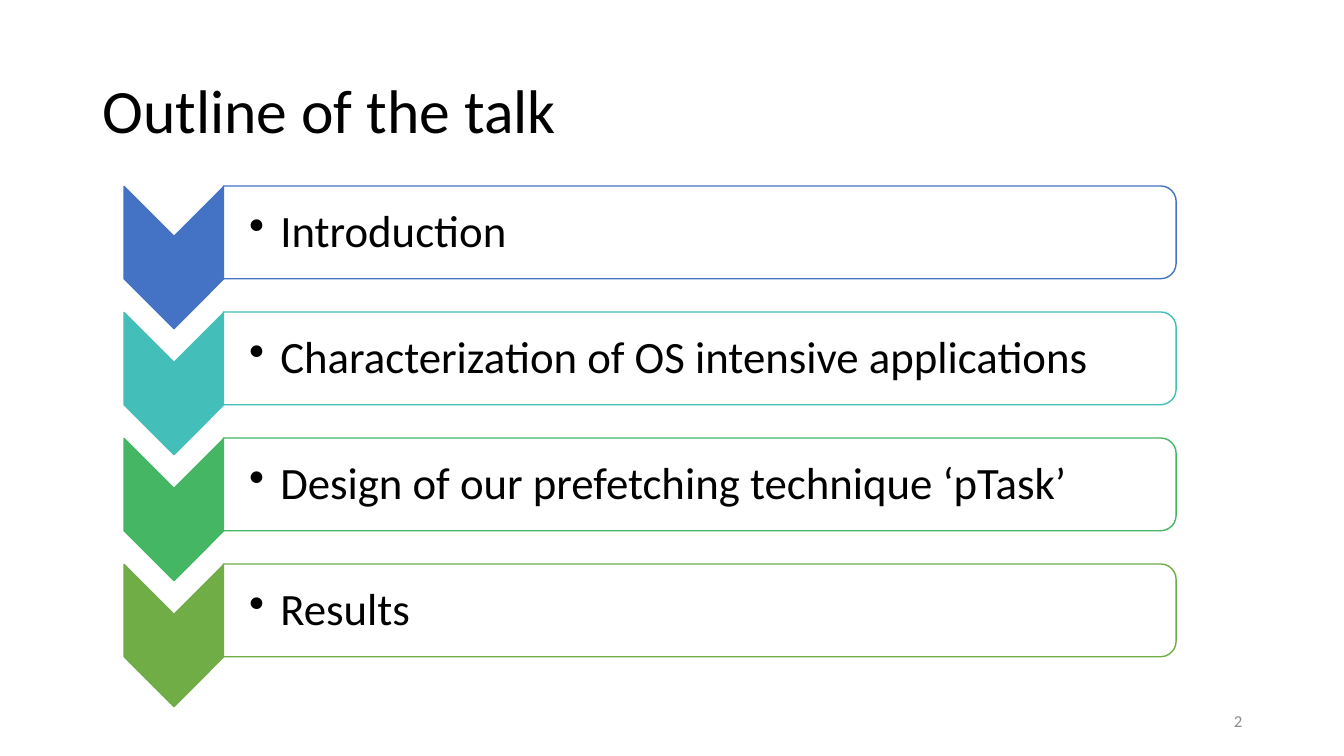
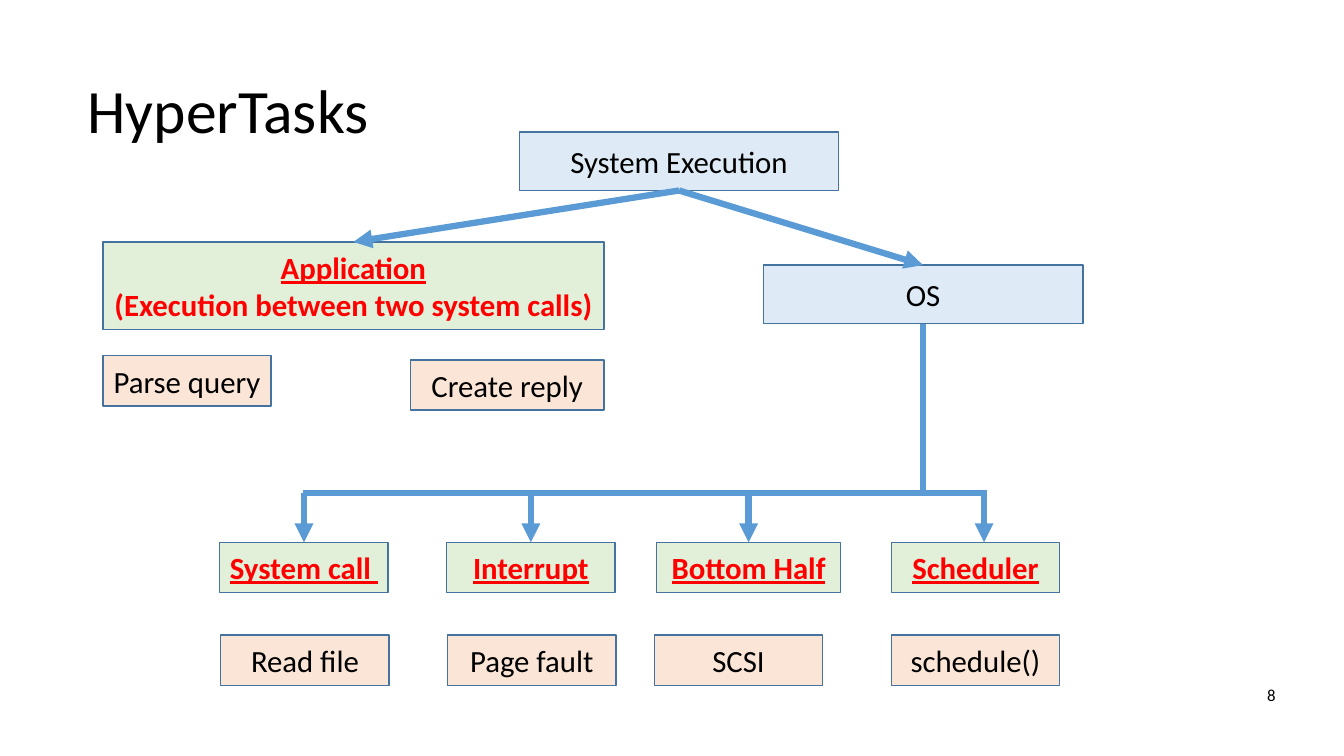
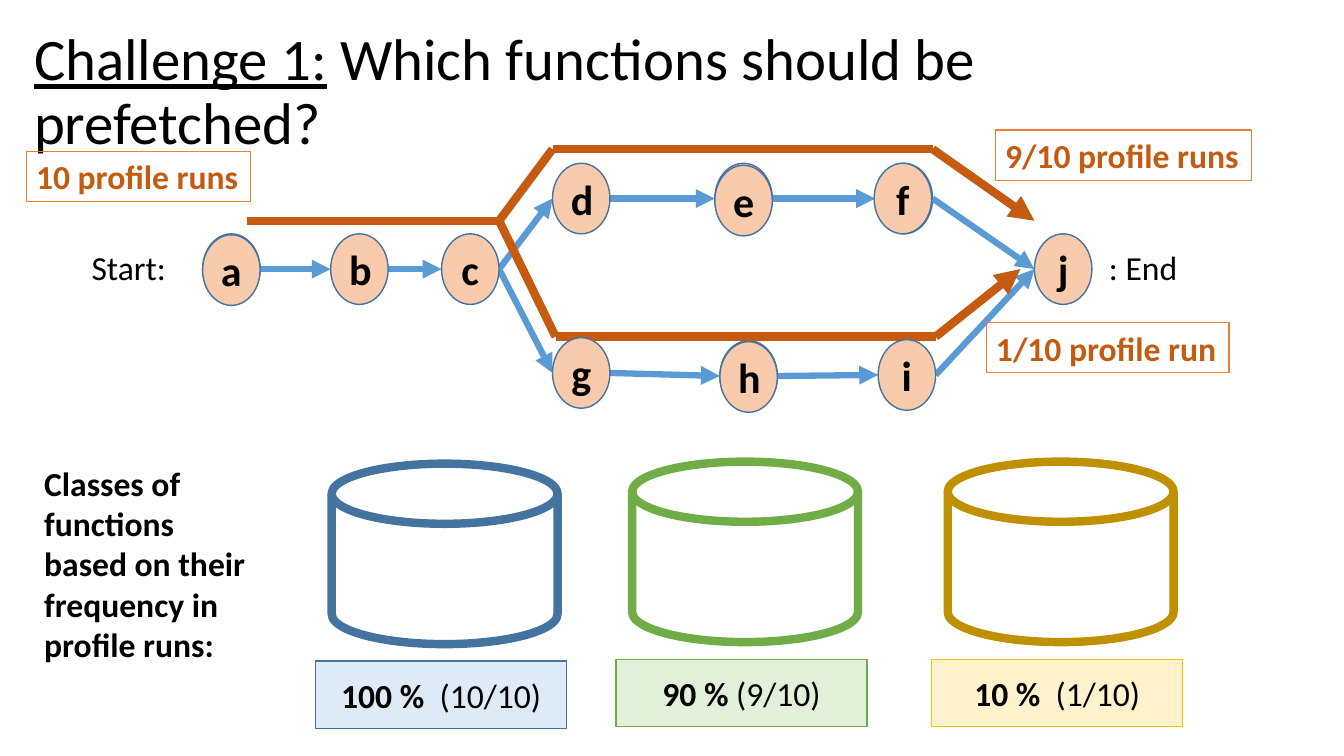
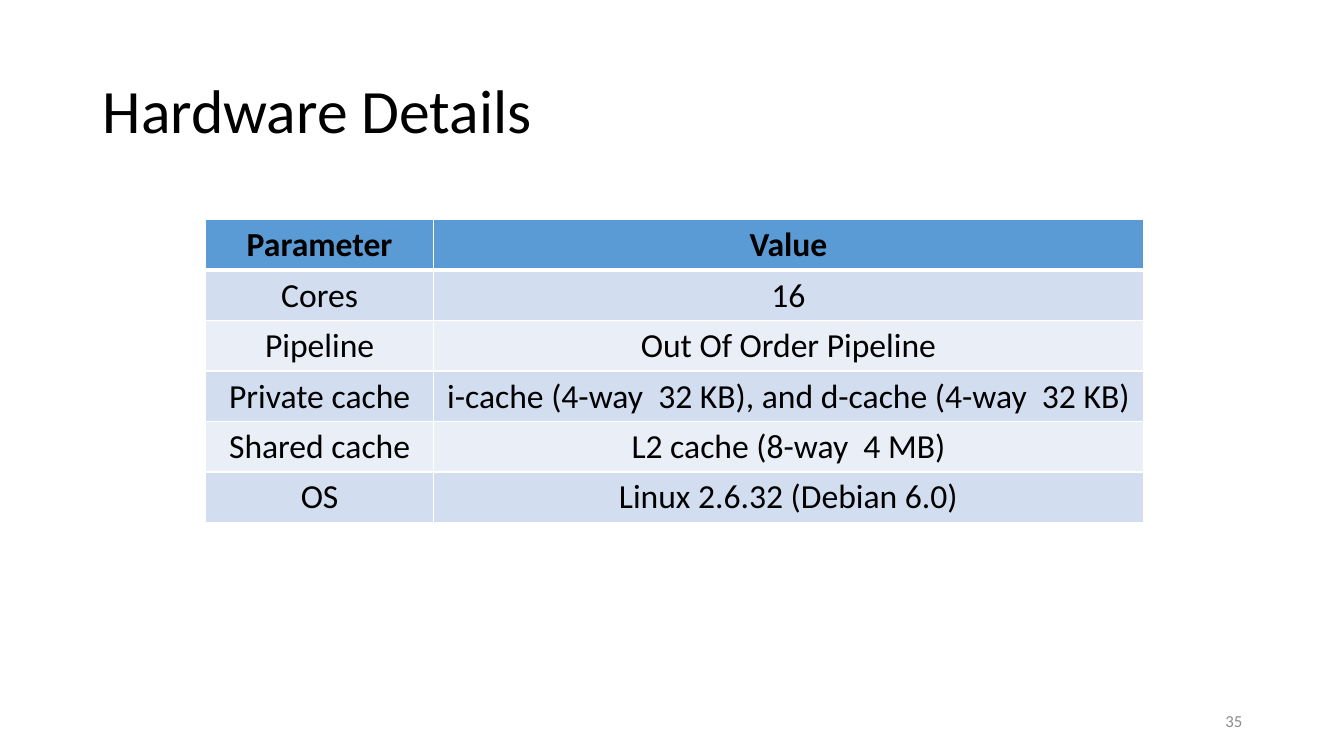
import pptx
import pptx.dml.color
import pptx.enum.shapes
import pptx.enum.text
import pptx.oxml.ns
import pptx.util
from lxml import etree

SCALE = 9144  # EMU per px, 100 px to the inch
FONT = "Calibri"
COLOURS = {
    "black": "000000", "white": "FFFFFF", "grey": "8C8C8C", "red": "FF0000",
    "blue": "5B9BD5", "navy": "43739E", "sky": "DEEBF7", "mint": "E2F0D9",
    "peach": "FBE5D6", "skin": "F8CBAD", "rust": "C55A11", "orange": "ED7D31",
    "green": "70AD47", "ochre": "BF9000", "gold": "FFC000", "cream": "FFF2CC",
    "indigo": "4472C4", "teal": "43BEB9", "emerald": "45B664",
    "band": "D2DEEF", "pale": "EAEFF7",
}
KIND = pptx.enum.shapes.MSO_SHAPE
ALIGN = pptx.enum.text.PP_ALIGN
ANCHOR = pptx.enum.text.MSO_ANCHOR
TOP, BOTTOM = 0, 2
BOLD = {"bold": True}
HYPERTASK = {"bold": True, "underline": True, "colour": "red"}


def px(*lengths):
    return [pptx.util.Emu(round(length * SCALE)) for length in lengths]


def rgb(name):
    return pptx.dml.color.RGBColor.from_string(COLOURS[name])


def set_all(target, values):
    for name, value in values.items():
        setattr(target, name, value)


def add_xml(parent, tag, **attributes):
    return etree.SubElement(parent, pptx.oxml.ns.qn(tag), attributes)


def write(frame, paragraphs, size, align=ALIGN.LEFT, spacing=None):
    """Fill a text frame; each paragraph is a list of (text, format) runs."""
    for index, runs in enumerate(paragraphs):
        paragraph = frame.paragraphs[0] if index == 0 else frame.add_paragraph()
        set_all(paragraph, {"alignment": align, "line_spacing": spacing})
        for text, look in runs:
            run = paragraph.add_run()
            run.text = text
            values = {"name": FONT, "size": pptx.util.Pt(size), **look}
            run.font.color.rgb = rgb(values.pop("colour", "black"))
            set_all(run.font, values)


def outline(shape, colour, width):
    shape.line.color.rgb = rgb(colour)
    shape.line.width = pptx.util.Pt(width)


def add_text(slide, box, paragraphs, size, anchor=ANCHOR.MIDDLE, wrap=True, **layout):
    text_box = slide.shapes.add_textbox(*px(*box))
    set_all(text_box.text_frame, {"word_wrap": wrap, "vertical_anchor": anchor})
    write(text_box.text_frame, paragraphs, size, **layout)
    return text_box


def add_label(slide, box, text, wrap=False, **look):
    label = add_text(slide, box, [[(text, look)]], 24, ANCHOR.TOP, wrap)
    label.text_frame.auto_size = pptx.enum.text.MSO_AUTO_SIZE.SHAPE_TO_FIT_TEXT
    return label


def add_profile_label(slide, box, text):
    outline(add_label(slide, box, text, bold=True, colour="rust"), "orange", 0.75)


def add_figure(slide, kind, box, fill, line="navy", width=1, paragraphs=(), size=22):
    figure = slide.shapes.add_shape(kind, *px(*box))
    figure.shadow.inherit = False
    if fill:
        figure.fill.solid()
        figure.fill.fore_color.rgb = rgb(fill)
    else:
        figure.fill.background()
    outline(figure, line, width)
    write(figure.text_frame, paragraphs, size, ALIGN.CENTER)
    return figure


def add_link(slide, start, end, colour="blue", width=4.5, arrow=True):
    """Draw a line; each end is an (x, y) point or a (rectangle, side) pair."""
    points = [(0, 0) if hasattr(spot[0], "shape_id") else spot for spot in (start, end)]
    link = slide.shapes.add_connector(
        pptx.enum.shapes.MSO_CONNECTOR.STRAIGHT, *px(*points[0], *points[1]))
    for spot, join in ((start, link.begin_connect), (end, link.end_connect)):
        if hasattr(spot[0], "shape_id"):
            join(*spot)
    outline(link, colour, width)
    if arrow:
        add_xml(link.line._get_or_add_ln(), "a:tailEnd", type="triangle")
    add_xml(link._element.spPr, "a:effectLst")


def add_title(slide, runs, box=(92, 40, 1150, 145), size=44):
    add_text(slide, box, [runs], size, spacing=0.9)


def add_page_number(slide, number, box=(942, 695, 300, 40), colour="grey"):
    add_text(slide, box, [[(number, {"colour": colour})]], 12, align=ALIGN.RIGHT)


def add_outline_step(slide, top, colour, text):
    chevron = add_figure(slide, KIND.CHEVRON, (102, top + 21, 141, 99), colour, colour)
    bar = add_figure(slide, KIND.ROUND_2_SAME_RECTANGLE,
                     (648, top - 427, 92, 945), "white", colour)
    chevron.rotation = bar.rotation = 90
    topic = slide.shapes.add_textbox(*px(222, top + 5, 941, 83))
    frame = topic.text_frame
    inset, thin, indent = px(25, 2, 31)
    set_all(frame, {"word_wrap": True, "vertical_anchor": ANCHOR.MIDDLE,
                    "margin_left": inset, "margin_right": thin,
                    "margin_top": thin, "margin_bottom": thin})
    properties = frame.paragraphs[0]._p.get_or_add_pPr()
    properties.set("marL", str(indent))
    properties.set("indent", str(-indent))
    add_xml(properties, "a:buChar", char="•")
    write(frame, [[(text, {})]], 32, spacing=0.9)


def outline_slide(slide):
    add_title(slide, [("Outline of the talk", {})])
    add_page_number(slide, "2")
    steps = [
        ("indigo", "Introduction"),
        ("teal", "Characterization of OS intensive applications"),
        ("emerald", "Design of our prefetching technique ‘pTask’"),
        ("green", "Results"),
    ]
    for index, (colour, text) in enumerate(steps):
        add_outline_step(slide, 185 + 125 * index, colour, text)


def hypertasks_slide(slide):
    def node(box, fill, text, **look):
        return add_figure(slide, KIND.RECTANGLE, box, fill, paragraphs=[[(text, look)]])

    add_title(slide, [("HyperTasks", {})], (77, 40, 1165, 145))
    add_page_number(slide, "8", (1208, 661, 67, 57), "black")
    execution = node((515, 131, 317, 58), "sky", "System Execution")
    application = add_figure(
        slide, KIND.RECTANGLE, (102, 240, 497, 87), "mint",
        paragraphs=[[("Application", HYPERTASK)],
                    [("(Execution between two system calls)",
                      {**HYPERTASK, "underline": False})]])
    kernel = node((757, 263, 317, 58), "sky", "OS")
    node((102, 353, 167, 50), "peach", "Parse query")
    node((407, 357, 192, 50), "peach", "Create reply")

    bus = 489
    for child in (application, kernel):
        add_link(slide, (execution, BOTTOM), (child, TOP))
    add_link(slide, (kernel, BOTTOM), (915.5, bus), arrow=False)
    add_link(slide, (301, bus), (979, bus), arrow=False)

    # task, left, width, example, left of the example, x of the arrow if off-centre
    kernel_tasks = [
        ("System call ", 218, 167, "Read file", 219, None),
        ("Interrupt", 443, 167, "Page fault", 444, None),
        ("Bottom Half", 651, 183, "SCSI", 649, None),
        ("Scheduler", 884, 167, "schedule()", 884, 976),
    ]
    for task, left, width, example, example_left, arrow_x in kernel_tasks:
        box = node((left, 538, width, 50), "mint", task, **HYPERTASK)
        node((example_left, 630, 167, 50), "peach", example)
        if arrow_x:
            add_link(slide, (arrow_x, bus), (arrow_x, 538))
        else:
            add_link(slide, (left + width / 2, bus), (box, TOP))


def challenge_slide(slide):
    node_width, node_height = 57, 70
    nodes = {
        "a": (201, 232), "b": (328, 232), "c": (438, 232), "d": (548, 162),
        "e": (709, 162), "f": (868, 162), "g": (548, 335), "h": (714, 338),
        "i": (871, 337), "j": (1026, 232),
    }
    stacked = {"a": (0, 1), "e": (0, 2), "f": (-1, 0), "h": (0, 1)}

    def node(left, top, paragraphs=()):
        add_figure(slide, KIND.OVAL, (left, top, node_width, node_height), "skin",
                   paragraphs=paragraphs, size=30)

    # left, top, cylinder line, label fill, label line, percentage, share
    classes = [
        (940, 458, "ochre", "cream", "gold", "10 %", "  (1/10)"),
        (627, 458, "green", "mint", "green", "90 % ", "(9/10)"),
        (329, 460, "navy", "sky", "navy", "100 %", "  (10/10)"),
    ]
    for left, top, colour, *_ in classes:
        add_figure(slide, KIND.FLOWCHART_MAGNETIC_DISK, (left, top, 224, 179),
                   None, colour, 6)
    add_title(slide, [("Challenge 1:", {"underline": True}),
                      (" Which functions should be prefetched?", {})],
              (24, 20, 1243, 145), 42)

    for letter in stacked:
        node(*nodes[letter])
    for source, target in ("ab", "bc", "cd", "cg", "de", "ef", "fj", "gh", "hi", "ij"):
        (x1, y1), (x2, y2) = nodes[source], nodes[target]
        middle = node_height / 2
        add_link(slide, (x1 + node_width, y1 + middle), (x2, y2 + middle))
    add_label(slide, (81, 240, 94, 50), "Start:")
    add_label(slide, (1090, 240, 89, 50), ": End")

    frequent_path = [(245, 219), (495, 219), (548, 148), (925, 148), (1026, 219)]
    rare_path = [(495, 219), (551, 334), (928, 334), (1012, 267)]
    for route in (frequent_path, rare_path):
        for start, end in zip(route, route[1:]):
            add_link(slide, start, end, "rust", 6, arrow=end == route[-1])

    for left, top, _, fill, line, percentage, share in classes:
        add_figure(slide, KIND.RECTANGLE, (left - 16, top + 196, 249, 67), fill, line,
                   paragraphs=[[(percentage, BOLD), (share, {})]], size=24)
    add_label(slide, (34, 454, 234, 212),
              "Classes of functions based on their frequency in profile runs:",
              wrap=True, bold=True)
    for letter, (left, top) in nodes.items():
        right, down = stacked.get(letter, (0, 0))
        node(left + right, top + down, [[(letter, BOLD)]])
    add_profile_label(slide, (26, 150, 223, 50), "10 profile runs")
    add_profile_label(slide, (987, 129, 254, 50), "9/10 profile runs")
    add_profile_label(slide, (978, 320, 241, 50), "1/10 profile run")


def add_border(cell, side, width):
    line = add_xml(cell._tc.get_or_add_tcPr(), f"a:ln{side}", w=str(pptx.util.Pt(width)))
    add_xml(add_xml(line, "a:solidFill"), "a:srgbClr", val=COLOURS["white"])


def hardware_slide(slide):
    add_title(slide, [("Hardware Details", {})])
    add_page_number(slide, "35")
    rows = [
        ("Parameter", "Value"),
        ("Cores", "16"),
        ("Pipeline", "Out Of Order Pipeline"),
        ("Private cache", "i-cache (4-way  32 KB), and d-cache (4-way  32 KB)"),
        ("Shared cache", "L2 cache (8-way  4 MB)"),
        ("OS", "Linux 2.6.32 (Debian 6.0)"),
    ]
    hardware = slide.shapes.add_table(len(rows), 2, *px(204, 218, 930, 300)).table
    set_all(hardware, {"first_row": False, "horz_banding": False})
    for column, width in zip(hardware.columns, px(226, 704)):
        column.width = width
    for row, texts in enumerate(rows):
        fill = "blue" if row == 0 else ("pale", "band")[row % 2]
        for column, text in enumerate(texts):
            cell = hardware.cell(row, column)
            for side in "LRTB":
                under_header = (row, side) in ((0, "B"), (1, "T"))
                add_border(cell, side, 3 if under_header else 1)
            cell.fill.solid()
            cell.fill.fore_color.rgb = rgb(fill)
            write(cell.text_frame, [[(text, {"bold": row == 0})]], 24, ALIGN.CENTER)


def main():
    deck = pptx.Presentation()
    deck.slide_width, deck.slide_height = px(1333, 750)
    blank = deck.slide_layouts[6]
    for build in (outline_slide, hypertasks_slide, challenge_slide, hardware_slide):
        build(deck.slides.add_slide(blank))
    deck.save("out.pptx")


if __name__ == "__main__":
    main()
